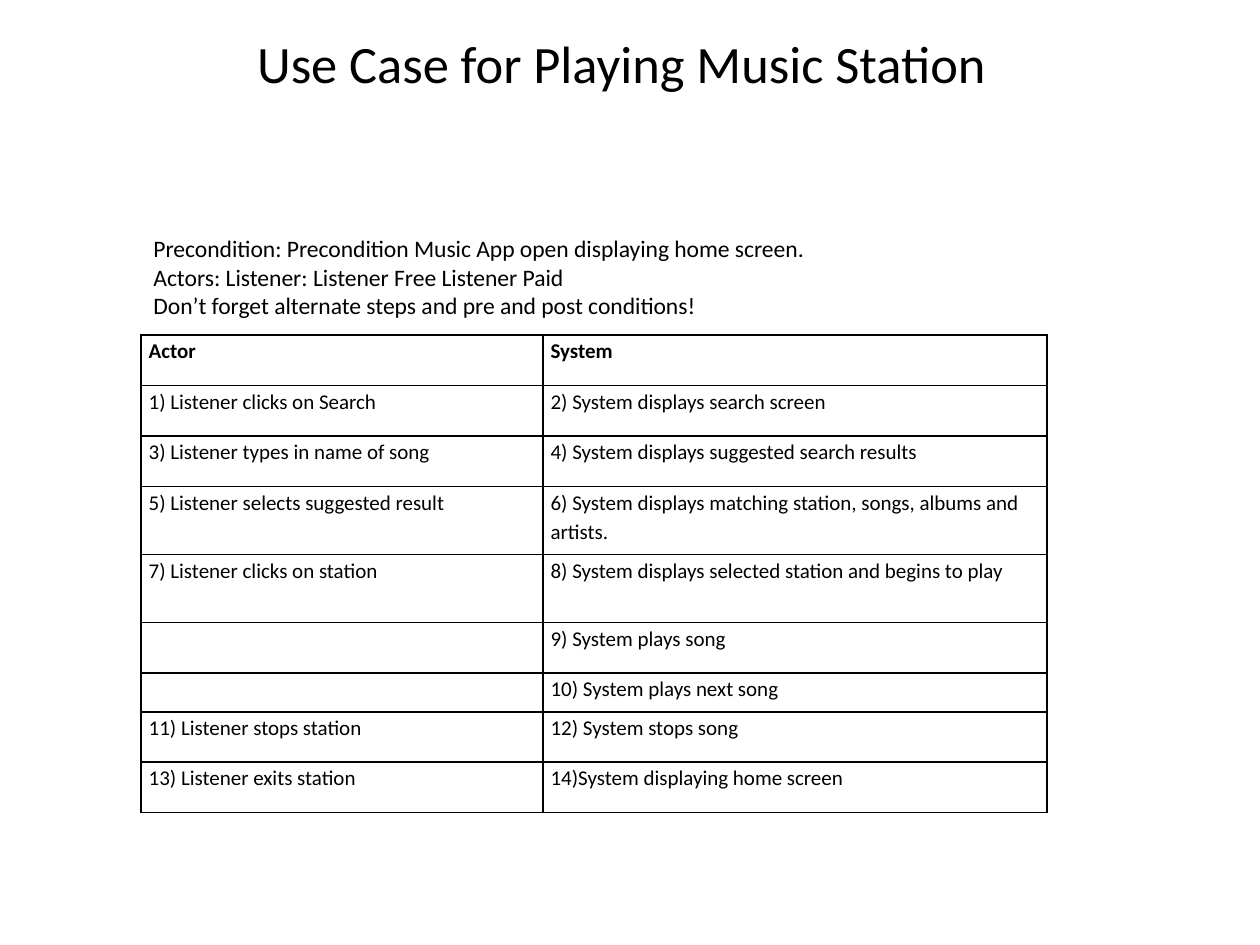
"""Build the use case slide for playing a music station."""
from pptx import Presentation
from pptx.dml.color import RGBColor
from pptx.enum.text import MSO_ANCHOR, MSO_AUTO_SIZE, PP_ALIGN
from pptx.oxml import parse_xml
from pptx.oxml.ns import nsdecls
from pptx.util import Inches, Pt

FONT = "Calibri"
BLACK = RGBColor(0x00, 0x00, 0x00)
TITLE = "Use Case for Playing Music Station"
NOTES = [
    "Precondition: Precondition Music App open displaying home screen.",
    "Actors: Listener: Listener Free Listener Paid",
    "Don’t forget alternate steps and pre and post conditions!",
]
COL_WIDTHS = [3.19, 4]
STEPS = [
    (0.4, "Actor", "System"),
    (0.4, "1) Listener clicks on Search", "2) System displays search screen"),
    (0.4, "3) Listener types in name of song", "4) System displays suggested search results"),
    (0.54, "5) Listener selects suggested result",
     "6) System displays matching station, songs, albums and artists."),
    (0.54, "7) Listener clicks on station", "8) System displays selected station and begins to play"),
    (0.4, "", "9) System plays song"),
    (0.31, "", "10) System plays next song"),
    (0.4, "11) Listener stops station", "12) System stops song"),
    (0.4, "13) Listener exits station", "14)System displaying home screen"),
]


def format_text(p, size, bold=False):
    p.font.name, p.font.size, p.font.bold = FONT, Pt(size), bold
    p.font.color.rgb = BLACK


def add_borders(cell):
    tc_pr = cell._tc.get_or_add_tcPr()
    for i, side in enumerate(("lnL", "lnR", "lnT", "lnB")):
        tc_pr.insert(i, parse_xml(
            f'<a:{side} {nsdecls("a")} w="{Pt(1)}"><a:solidFill>'
            f'<a:srgbClr val="{BLACK}"/></a:solidFill></a:{side}>'))


def add_title(s):
    sp = s.shapes.title
    sp.left, sp.top, sp.width, sp.height = map(Inches, (1.56, 0.03, 6.75, 0.94))
    tf = sp.text_frame
    tf.text = TITLE
    tf.vertical_anchor = MSO_ANCHOR.MIDDLE
    p = tf.paragraphs[0]
    p.alignment = PP_ALIGN.CENTER
    format_text(p, 30)


def add_notes(s):
    sp = s.shapes.add_textbox(*map(Inches, (1.12, 1.81, 7.13, 0.78)))
    tf = sp.text_frame
    tf.word_wrap = True
    tf.auto_size = MSO_AUTO_SIZE.SHAPE_TO_FIT_TEXT
    tf.text = "\n".join(NOTES)
    for p in tf.paragraphs:
        format_text(p, 13.5)


def add_steps(s):
    width, height = sum(COL_WIDTHS), sum(row[0] for row in STEPS)
    table = s.shapes.add_table(
        len(STEPS), len(COL_WIDTHS), *map(Inches, (1.12, 2.66, width, height))).table
    table.first_row = table.horz_banding = False
    for col, col_width in zip(table.columns, COL_WIDTHS):
        col.width = Inches(col_width)
    for i, (row_height, *texts) in enumerate(STEPS):
        table.rows[i].height = Inches(row_height)
        for cell, text in zip(table.rows[i].cells, texts):
            cell.text = text
            cell.margin_left = cell.margin_right = Inches(0.06)
            cell.margin_top = cell.margin_bottom = 0
            cell.fill.background()
            add_borders(cell)
            p = cell.text_frame.paragraphs[0]
            p.line_spacing = 1.15
            format_text(p, 12, bold=i == 0)


def main():
    prs = Presentation()
    prs.slide_width, prs.slide_height = Inches(10), Inches(7.5)
    s = prs.slides.add_slide(prs.slide_layouts[5])
    add_title(s)
    add_notes(s)
    add_steps(s)
    prs.save("out.pptx")


if __name__ == "__main__":
    main()
